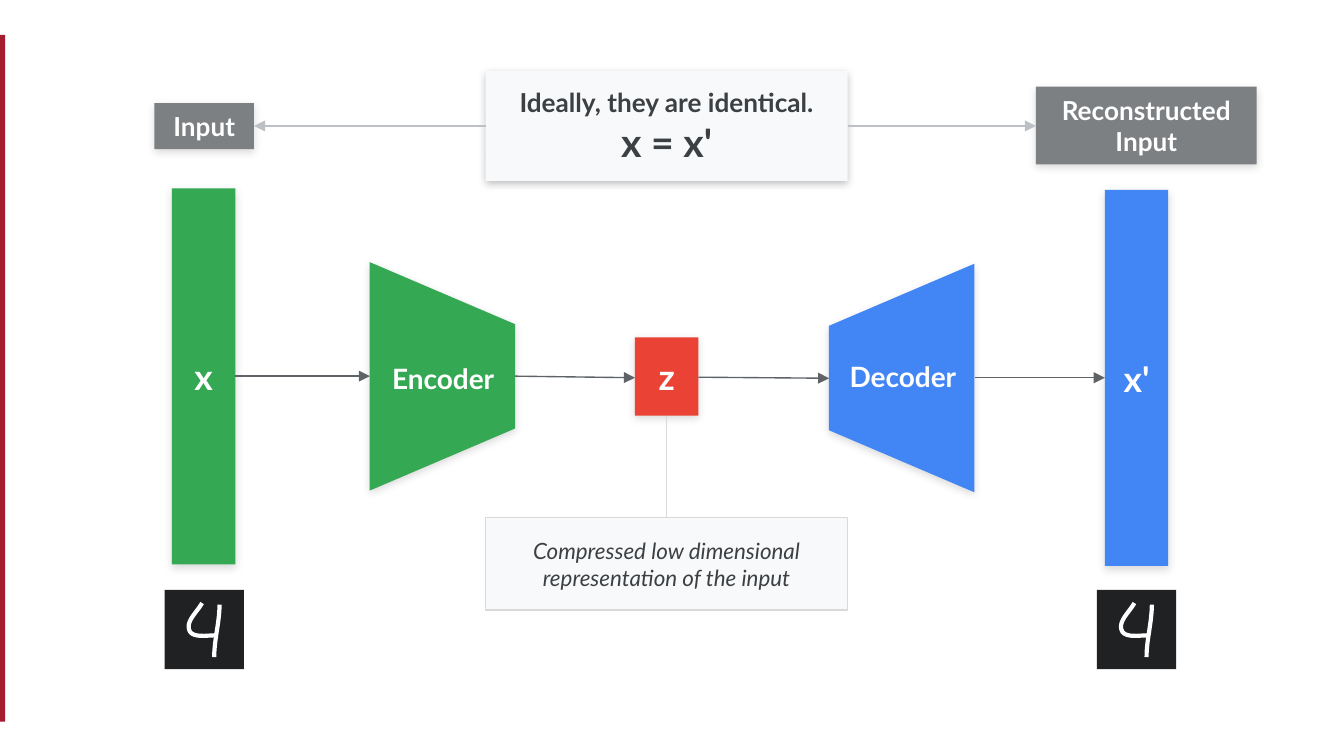
from dataclasses import dataclass
from typing import NamedTuple, Optional

from lxml.etree import SubElement
from pptx import Presentation
from pptx.dml.color import RGBColor as RGB
from pptx.enum.shapes import MSO_CONNECTOR as Link, MSO_SHAPE as Kind
from pptx.enum.text import MSO_ANCHOR as Anchor, PP_ALIGN as Align
from pptx.oxml.ns import qn
from pptx.util import Cm, Pt

WHITE = RGB(0xFF, 0xFF, 0xFF)
CRIMSON = RGB(0xA5, 0x1C, 0x30)
GREEN = RGB(0x34, 0xA8, 0x53)
BLUE = RGB(0x42, 0x85, 0xF4)
RED = RGB(0xEA, 0x43, 0x35)
GREY = RGB(0x7D, 0x80, 0x83)
PALE = RGB(0xF8, 0xF9, 0xFA)
INK = RGB(0x3C, 0x40, 0x43)
BLACK = RGB(0x20, 0x21, 0x22)
DARK = RGB(0x5F, 0x63, 0x68)
LIGHT = RGB(0xBD, 0xC1, 0xC6)
EDGE = RGB(0xD9, 0xD9, 0xD9)


class Line(NamedTuple):
    text: str
    size: float
    color: RGB = WHITE
    bold: bool = True
    slant: bool = False


class Area(NamedTuple):
    x: float
    y: float
    w: float
    h: float

    def lengths(self) -> list:
        return [Cm(v) for v in self]


@dataclass
class Box:
    area: Area
    fill: RGB
    lines: tuple = ()
    shade: int = 15  # shadow opacity in percent, 0 for none
    edge: Optional[RGB] = None
    kind: Kind = Kind.RECTANGLE
    turn: int = 0


class Arrow(NamedTuple):
    x1: float
    y1: float
    x2: float
    y2: float
    color: RGB = DARK
    head: bool = True


def write(shape, lines: tuple) -> None:
    frame = shape.text_frame
    frame.word_wrap = True
    frame.vertical_anchor = Anchor.MIDDLE
    frame.margin_left = frame.margin_right = Cm(0.25)
    frame.margin_top = frame.margin_bottom = Cm(0.25)
    for i, line in enumerate(lines):
        para = frame.add_paragraph() if i else frame.paragraphs[0]
        para.text = line.text
        para.alignment = Align.CENTER
        font = para.font
        font.name, font.size = "Lato", Pt(line.size)
        font.bold, font.italic = line.bold, line.slant
        font.color.rgb = line.color


def add_shade(shape, alpha: int) -> None:
    effects = shape._element.spPr.find(qn("a:effectLst"))
    outer = SubElement(effects, qn("a:outerShdw"), blurRad=str(Pt(4.5)),
                       dist=str(Pt(1.5)), dir="5400000", algn="bl",
                       rotWithShape="0")
    color = SubElement(outer, qn("a:srgbClr"), val="000000")
    SubElement(color, qn("a:alpha"), val=str(alpha * 1000))


def draw_box(shapes, box: Box) -> None:
    shape = shapes.add_shape(box.kind, *box.area.lengths())
    shape.shadow.inherit = False
    shape.rotation = box.turn
    shape.fill.solid()
    shape.fill.fore_color.rgb = box.fill
    if box.kind == Kind.TRAPEZOID:
        shape.adjustments[0] = 0.427
    if box.edge:
        shape.line.color.rgb = box.edge
        shape.line.width = Pt(0.75)
    else:
        shape.line.fill.background()
    if box.shade:
        add_shade(shape, box.shade)
    if box.lines:
        write(shape, box.lines)


def draw_arrow(shapes, arrow: Arrow) -> None:
    link = shapes.add_connector(Link.STRAIGHT, *[Cm(v) for v in arrow[:4]])
    link.line.color.rgb = arrow.color
    link.line.width = Pt(0.75)
    props = link._element.spPr
    if arrow.head:
        SubElement(props.find(qn("a:ln")), qn("a:tailEnd"), type="triangle")
    SubElement(props, qn("a:effectLst"))


def trace(curve: list, steps: int = 12) -> list:
    """Points along a chain of cubic curves."""
    points = [curve[0]]
    for i in range(0, len(curve) - 1, 3):
        for n in range(1, steps + 1):
            t = n / steps
            u = 1 - t
            mix = (u ** 3, 3 * u * u * t, 3 * u * t * t, t ** 3)
            points.append(tuple(sum(m * p[k] for m, p in zip(mix, curve[i:i + 4]))
                                for k in (0, 1)))
    return points


def draw_digit(shapes, x: float, y: float) -> None:
    draw_box(shapes, Box(Area(x, y, 1.5, 1.5), BLACK, shade=0))
    for curve in (HOOK, STEM):
        spots = [(Cm(x + dx), Cm(y + dy)) for dx, dy in trace(curve)]
        pen = shapes.build_freeform(*spots[0])
        pen.add_line_segments(spots[1:], close=False)
        stroke = pen.convert_to_shape()
        stroke.shadow.inherit = False
        stroke.fill.background()
        stroke.line.color.rgb = WHITE
        stroke.line.width = Pt(2.25)


# Strokes of the handwritten four, measured from its tile
HOOK = [(0.71, 0.25), (0.61, 0.43), (0.38, 0.61), (0.48, 0.79),
        (0.56, 0.91), (0.81, 0.86), (0.99, 0.86)]
STEM = [(1.04, 0.28), (1.04, 0.61), (0.94, 0.94), (0.94, 1.27)]

BOXES = [
    Box(Area(-0.05, 0.66, 0.15, 12.98), CRIMSON, shade=0),
    Box(Area(3.25, 3.56, 1.2, 7.11), GREEN, (Line("x", 19),)),
    Box(Area(2.92, 1.95, 1.88, 0.87), GREY, (Line("Input", 14),)),
    Box(Area(19.58, 1.64, 4.17, 1.47), GREY,
        (Line("Reconstructed", 14), Line("Input", 14))),
    Box(Area(20.88, 3.59, 1.2, 7.11), BLUE, (Line("x'", 19),)),
    Box(Area(12, 6.38, 1.2, 1.48), RED, (Line("z", 19),)),
    Box(Area(6.2, 5.74, 4.32, 2.75), GREEN, kind=Kind.TRAPEZOID, turn=90),
    Box(Area(14.88, 5.77, 4.32, 2.75), BLUE, kind=Kind.TRAPEZOID, turn=270),
    Box(Area(9.18, 1.34, 6.84, 2.08), PALE,
        (Line("Ideally, they are identical.", 14, INK), Line("x = x'", 21, INK)),
        shade=25),
    Box(Area(9.18, 9.78, 6.84, 1.75), PALE,
        (Line("Compressed low dimensional representation of the input",
              12, INK, bold=False, slant=True),), shade=0, edge=EDGE),
]
ARROWS = [
    Arrow(4.45, 7.11, 6.99, 7.11),
    Arrow(9.73, 7.11, 12, 7.14),
    Arrow(13.2, 7.13, 15.67, 7.15),
    Arrow(18.42, 7.14, 20.88, 7.14),
    Arrow(9.18, 2.38, 4.8, 2.38, LIGHT),
    Arrow(16.02, 2.38, 19.58, 2.38, LIGHT),
    Arrow(12.6, 9.78, 12.6, 7.87, EDGE, head=False),
]
LABELS = [
    ("Encoder", Area(6.71, 6.4, 3.33, 1.5)),
    ("Decoder", Area(15.4, 6.36, 3.33, 1.5)),
]

deck = Presentation()
deck.slide_width, deck.slide_height = Cm(25.4), Cm(14.29)
shapes = deck.slides.add_slide(deck.slide_layouts[6]).shapes

# Blocks and the flow between them
for box in BOXES:
    draw_box(shapes, box)
for arrow in ARROWS:
    draw_arrow(shapes, arrow)

# Sample digits under both ends
for left in (3.11, 20.73):
    draw_digit(shapes, left, 11.15)

# Names on the funnels
for name, area in LABELS:
    write(shapes.add_textbox(*area.lengths()), (Line(name, 15),))

deck.save("out.pptx")
